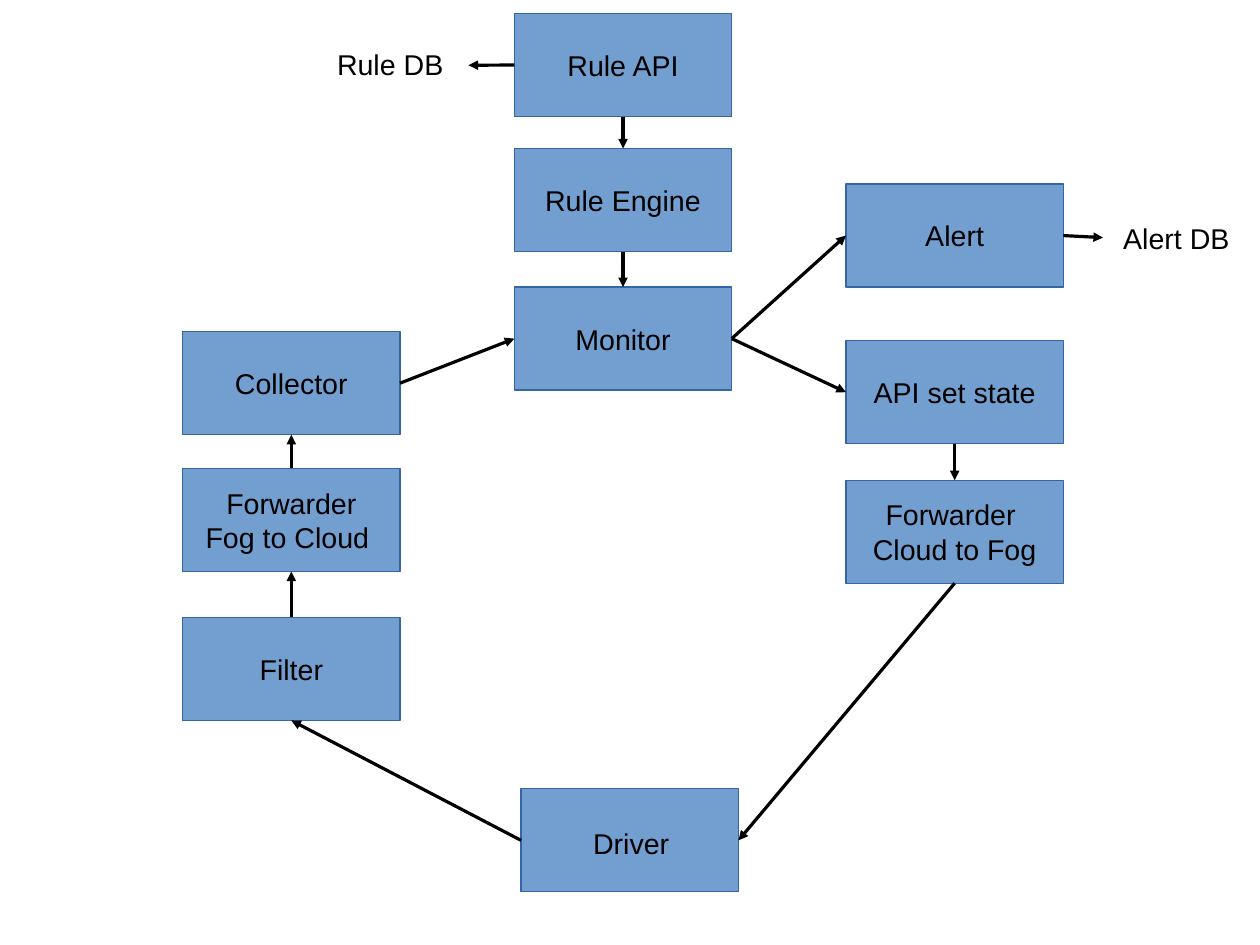
import pptx
import pptx.dml.color
import pptx.enum.shapes
import pptx.enum.text
import pptx.oxml
import pptx.oxml.ns
import pptx.util
from pptx.util import Cm

COLORS = {"box": "729FCF", "border": "3465A4", "ink": "000000"}
BOX_WIDTH, BOX_HEIGHT = 4.83, 2.29
LEFT_COLUMN, MIDDLE_COLUMN, RIGHT_COLUMN = 4.06, 11.43, 18.8
TOP, LEFT, BOTTOM, RIGHT = range(4)


def color(name):
    return pptx.dml.color.RGBColor.from_string(COLORS[name])


def write_lines(frame, lines, alignment):
    for index, line in enumerate(lines):
        paragraph = frame.paragraphs[0] if index == 0 else frame.add_paragraph()
        paragraph.alignment = alignment
        run = paragraph.add_run()
        run.text = line
        run.font.size = pptx.util.Pt(18)
        run.font.name = "Arial"
        run.font.color.rgb = color("ink")


presentation = pptx.Presentation()
presentation.slide_width = Cm(28)
presentation.slide_height = Cm(21)
slide = presentation.slides.add_slide(presentation.slide_layouts[6])

# Services: key, left, top, lines of text
services = [
    ("driver", 11.58, 17.53, []),
    ("filter", LEFT_COLUMN, 13.72, ["Filter"]),
    ("collector", LEFT_COLUMN, 7.37, ["Collector"]),
    ("to cloud", LEFT_COLUMN, 10.41, ["Forwarder", "Fog to Cloud "]),
    ("monitor", MIDDLE_COLUMN, 6.38, ["Monitor"]),
    ("alert", RIGHT_COLUMN, 4.09, ["Alert"]),
    ("set state", RIGHT_COLUMN, 7.57, ["API set state"]),
    ("to fog", RIGHT_COLUMN, 10.67, ["Forwarder ", "Cloud to Fog"]),
    ("rule engine", MIDDLE_COLUMN, 3.3, ["Rule Engine"]),
    ("rule api", MIDDLE_COLUMN, 0.3, ["Rule API"]),
]
boxes = {}
for key, left, top, lines in services:
    box = slide.shapes.add_shape(
        pptx.enum.shapes.MSO_SHAPE.RECTANGLE,
        Cm(left), Cm(top), Cm(BOX_WIDTH), Cm(BOX_HEIGHT))
    box.shadow.inherit = False
    box.fill.solid()
    box.fill.fore_color.rgb = color("box")
    box.line.color.rgb = color("border")
    box.line.width = pptx.util.Pt(0)
    box.text_frame.word_wrap = False
    box.text_frame.vertical_anchor = pptx.enum.text.MSO_ANCHOR.MIDDLE
    write_lines(box.text_frame, lines, pptx.enum.text.PP_ALIGN.CENTER)
    boxes[key] = box

# Free labels: text, left, top, width, wrap
for text, left, top, width, wrap in [
    ("Driver", 12.93, 18.24, 2.79, True),
    ("Alert DB", 24.71, 4.78, 2.87, False),
    ("Rule DB", 7.24, 0.91, 2.87, False),
]:
    label = slide.shapes.add_textbox(Cm(left), Cm(top), Cm(width), Cm(0.97))
    label.text_frame.word_wrap = wrap
    label.text_frame.auto_size = pptx.enum.text.MSO_AUTO_SIZE.SHAPE_TO_FIT_TEXT
    write_lines(label.text_frame, [text], pptx.enum.text.PP_ALIGN.LEFT)

# Flows: source, its side, then a target with its side or a free end point
flows = [
    ("driver", LEFT, "filter", BOTTOM),
    ("filter", TOP, "to cloud", BOTTOM),
    ("to cloud", TOP, "collector", BOTTOM),
    ("collector", RIGHT, "monitor", LEFT),
    ("monitor", RIGHT, "alert", LEFT),
    ("monitor", RIGHT, "set state", LEFT),
    ("rule api", BOTTOM, "rule engine", TOP),
    ("rule engine", BOTTOM, "monitor", TOP),
    ("set state", BOTTOM, "to fog", TOP),
    ("to fog", BOTTOM, "driver", RIGHT),
    ("alert", RIGHT, 24.51, 5.28),
    ("rule api", LEFT, 10.41, 1.45),
]
for source, source_side, *target in flows:
    to_box = target[0] in boxes
    end_x, end_y = (0, 0) if to_box else target
    arrow = slide.shapes.add_connector(
        pptx.enum.shapes.MSO_CONNECTOR.STRAIGHT, 0, 0, Cm(end_x), Cm(end_y))
    arrow.begin_connect(boxes[source], source_side)
    if to_box:
        arrow.end_connect(boxes[target[0]], target[1])
    arrow.line.color.rgb = color("ink")
    arrow.line.width = pptx.util.Pt(0)
    arrow_head = pptx.oxml.parse_xml(
        f'<a:tailEnd {pptx.oxml.ns.nsdecls("a")} type="triangle"/>')
    arrow.line._get_or_add_ln().append(arrow_head)
    no_effects = pptx.oxml.parse_xml(f'<a:effectLst {pptx.oxml.ns.nsdecls("a")}/>')
    arrow._element.spPr.append(no_effects)

presentation.save("out.pptx")
